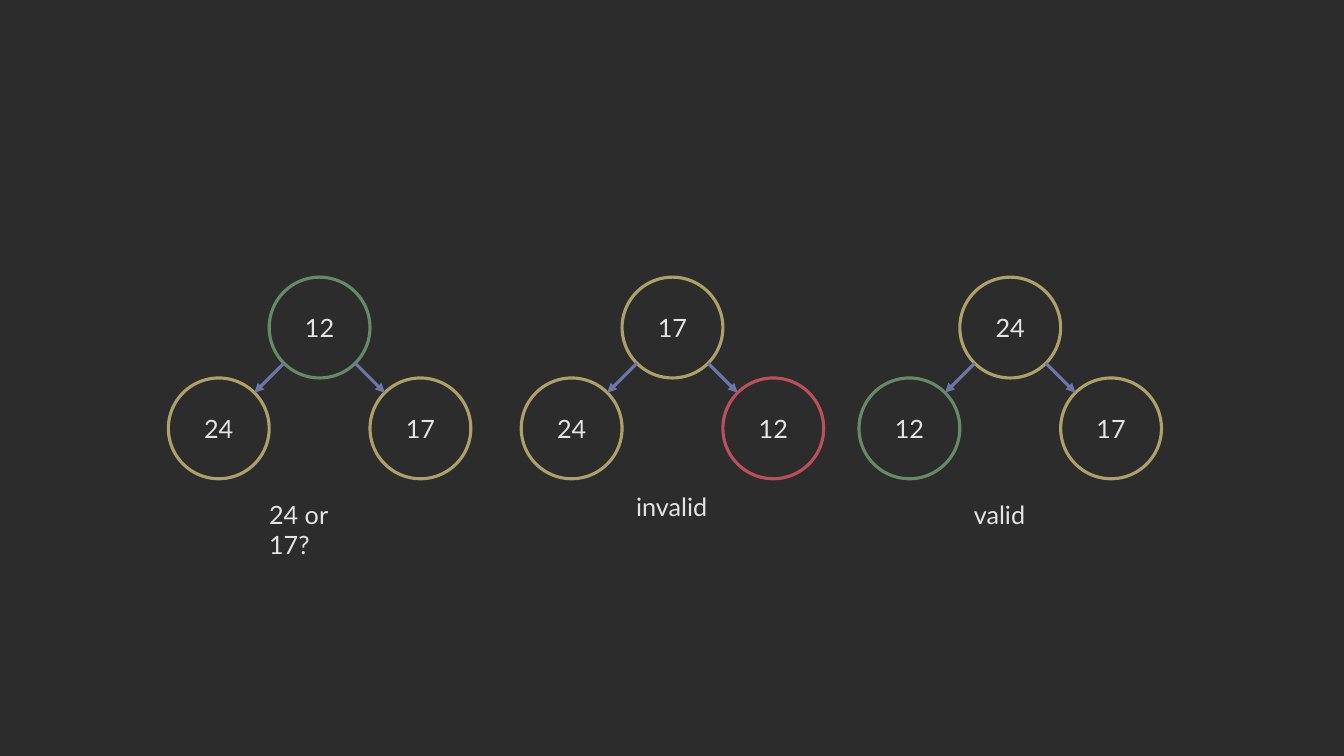
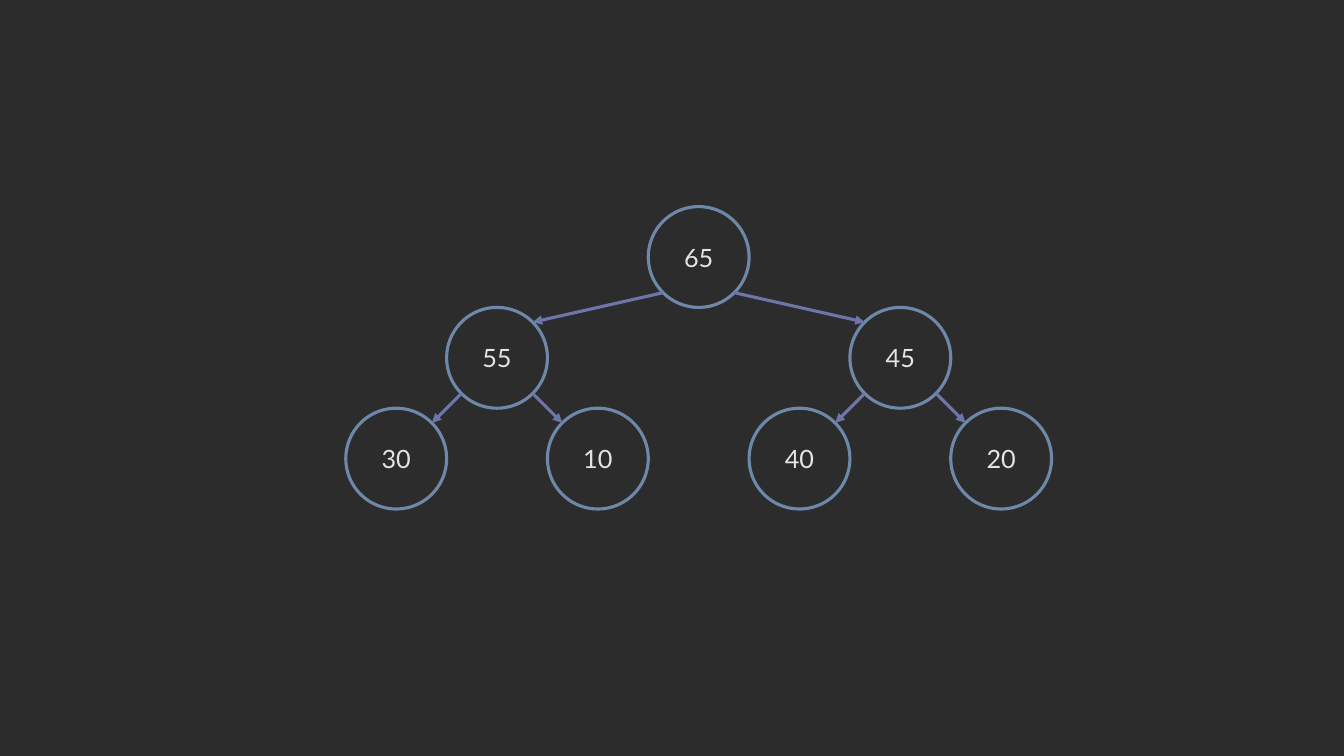
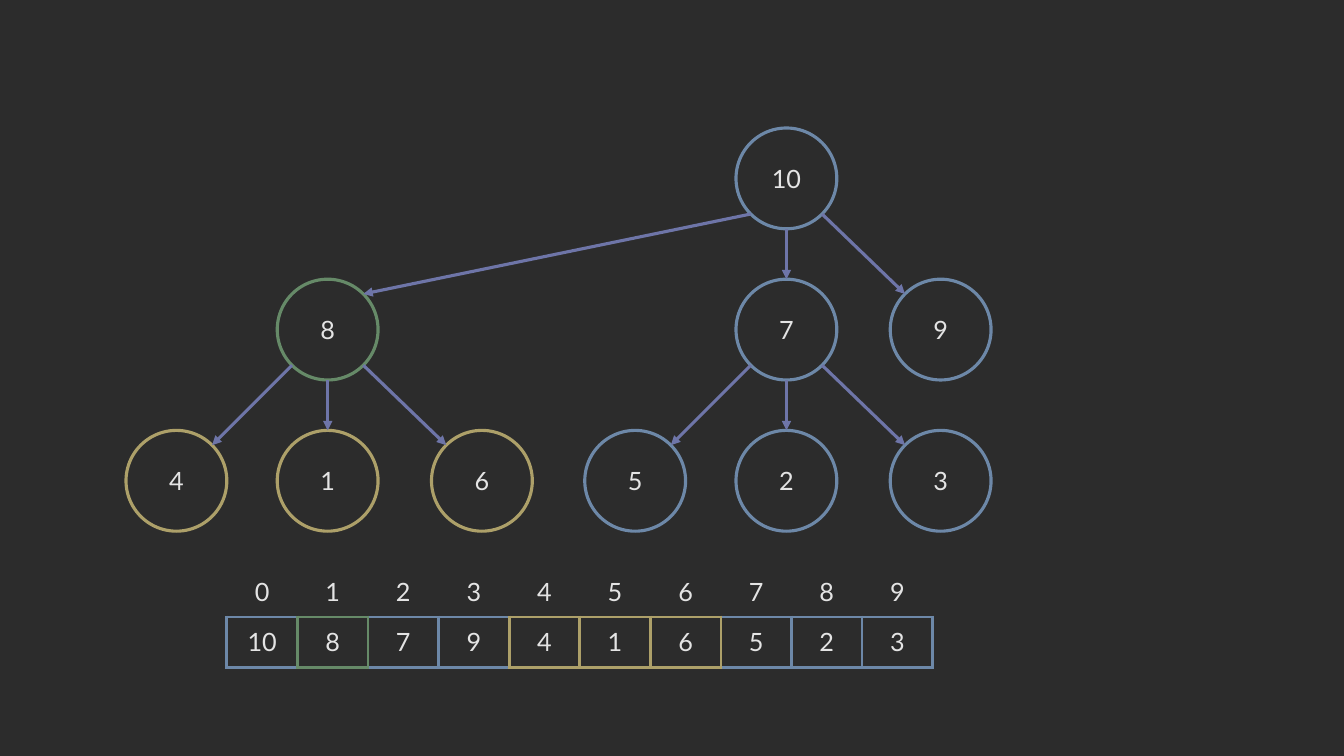
import dataclasses
import math
from typing import Optional

import lxml.etree
import pptx
import pptx.dml.color
import pptx.enum.shapes
import pptx.enum.text
import pptx.oxml.ns
import pptx.util

Inches = pptx.util.Inches
qn = pptx.oxml.ns.qn
ALIGN = pptx.enum.text.PP_ALIGN
ANCHOR = pptx.enum.text.MSO_ANCHOR

BACKGROUND = "2C2C2C"
TEXT = "E4E4E4"
ARROW = "6E75A8"
BLUE = "6D88A8"
GREEN = "668A68"
GOLD = "ADA069"
RED = "BB4F5C"

FONT = {"name": "Lato", "size": pptx.util.Pt(18)}
LINE_WIDTH = pptx.util.Pt(2.25)
DIAMETER = 1.0
RADIUS = DIAMETER / 2
DIAGONAL = RADIUS * math.sqrt(0.5)
NO_GRID_STYLE = "{2D5ABB26-0587-4C30-8999-92F81FD0307C}"


@dataclasses.dataclass(frozen=True)
class Node:
    text: str
    left: float
    top: float
    color: str = BLUE
    parent: Optional[int] = None


@dataclasses.dataclass(frozen=True)
class Caption:
    text: str
    left: float
    top: float
    width: float
    wrap: bool = False


@dataclasses.dataclass(frozen=True)
class Trio:
    left: float
    keys: tuple[str, str, str]
    colors: tuple[str, str, str]
    caption: Caption


def rgb(color: str) -> pptx.dml.color.RGBColor:
    return pptx.dml.color.RGBColor.from_string(color)


def write(tf, text: str, align=ALIGN.LEFT) -> None:
    p = tf.paragraphs[0]
    p.alignment = align
    r = p.add_run()
    r.text = text
    for name, value in FONT.items():
        setattr(r.font, name, value)
    r.font.color.rgb = rgb(TEXT)


def style_line(line, color: str) -> None:
    line.color.rgb = rgb(color)
    line.width = LINE_WIDTH


def add_node(s, node: Node) -> None:
    sp = s.shapes.add_shape(
        pptx.enum.shapes.MSO_SHAPE.OVAL,
        Inches(node.left), Inches(node.top), Inches(DIAMETER), Inches(DIAMETER),
    )
    sp.shadow.inherit = False
    sp.fill.background()
    style_line(sp.line, node.color)
    tf = sp.text_frame
    frame = {
        "margin_left": 0, "margin_top": 0, "margin_right": 0, "margin_bottom": 0,
        "vertical_anchor": ANCHOR.MIDDLE,
    }
    for name, value in frame.items():
        setattr(tf, name, value)
    write(tf, node.text, ALIGN.CENTER)


def add_arrow(s, parent: Node, child: Node) -> None:
    side = (child.left > parent.left) - (child.left < parent.left)
    dx = side * DIAGONAL
    dy = DIAGONAL if side else RADIUS
    cxn = s.shapes.add_connector(
        pptx.enum.shapes.MSO_CONNECTOR.STRAIGHT,
        Inches(parent.left + RADIUS + dx), Inches(parent.top + RADIUS + dy),
        Inches(child.left + RADIUS - dx), Inches(child.top + RADIUS - dy),
    )
    style_line(cxn.line, ARROW)
    sp_pr = cxn._element.spPr
    lxml.etree.SubElement(sp_pr.find(qn("a:ln")), qn("a:tailEnd"), type="triangle")
    lxml.etree.SubElement(sp_pr, qn("a:effectLst"))


def add_tree(s, nodes: list[Node]) -> None:
    for node in nodes:
        add_node(s, node)
        if node.parent is not None:
            add_arrow(s, nodes[node.parent], node)


def add_caption(s, caption: Caption) -> None:
    sp = s.shapes.add_textbox(
        Inches(caption.left), Inches(caption.top), Inches(caption.width), Inches(0.4)
    )
    sp.text_frame.word_wrap = caption.wrap
    write(sp.text_frame, caption.text)


def set_borders(cell, borders: dict[str, str]) -> None:
    tc_pr = cell._tc.get_or_add_tcPr()
    sides = [side for side in "LRTB" if side in borders]
    for position, side in enumerate(sides):
        ln = lxml.etree.Element(qn(f"a:ln{side}"), w=str(int(LINE_WIDTH)))
        fill = lxml.etree.SubElement(ln, qn("a:solidFill"))
        lxml.etree.SubElement(fill, qn("a:srgbClr"), val=borders[side])
        tc_pr.insert(position, ln)


def shared_edge(first: str, second: str) -> str:
    return second if first == BLUE else first


def add_array(s, nodes: list[Node]) -> None:
    count = len(nodes)
    frame = s.shapes.add_table(
        2, count, Inches(2.25), Inches(5.62), Inches(0.7 * count), Inches(1)
    )
    table = frame.table
    table.first_row = False
    table.horz_banding = False
    frame._element.find(".//" + qn("a:tableStyleId")).text = NO_GRID_STYLE
    for i, node in enumerate(nodes):
        before = nodes[max(i - 1, 0)].color
        after = nodes[min(i + 1, count - 1)].color
        color = node.color
        box = {
            "L": shared_edge(before, color), "R": shared_edge(color, after),
            "T": color, "B": color,
        }
        rows = ((str(i), {"B": color}), (node.text, box))
        for row, (text, borders) in enumerate(rows):
            cell = table.cell(row, i)
            cell.fill.background()
            cell.vertical_anchor = ANCHOR.MIDDLE
            write(cell.text_frame, text, ALIGN.CENTER)
            set_borders(cell, borders)


def build_trios(s) -> None:
    trios = (
        Trio(1.67, ("12", "24", "17"), (GREEN, GOLD, GOLD),
             Caption("24 or 17?", 2.57, 4.9, 1.19, True)),
        Trio(5.17, ("17", "24", "12"), (GOLD, GOLD, RED),
             Caption("invalid", 6.21, 4.83, 0.91)),
        Trio(8.52, ("24", "12", "17"), (GOLD, GREEN, GOLD),
             Caption("valid", 9.56, 4.9, 0.72)),
    )
    places = ((1, 2.75, None), (0, 3.75, 0), (2, 3.75, 0))
    for trio in trios:
        add_tree(s, [
            Node(key, trio.left + dx, top, color, parent)
            for key, color, (dx, top, parent) in zip(trio.keys, trio.colors, places)
        ])
        add_caption(s, trio.caption)


def build_binary_heap(s) -> None:
    columns = (3, 1, 5, 0, 2, 4, 6)
    keys = ("65", "55", "45", "30", "10", "40", "20")
    add_tree(s, [
        Node(key, 3.43 + column, 2.05 + int(math.log2(i + 1)),
             parent=(i - 1) // 2 if i else None)
        for i, (key, column) in enumerate(zip(keys, columns))
    ])


def build_ternary_heap(s) -> None:
    tops = (1.27, 2.77, 4.27)
    nodes = [
        Node("10", 7.3, tops[0]),
        Node("8", 2.75, tops[1], GREEN, 0),
        Node("7", 7.3, tops[1], BLUE, 0),
        Node("9", 8.83, tops[1], BLUE, 0),
    ]
    for parent, color, keys in ((1, GOLD, "416"), (2, BLUE, "523")):
        for key, dx in zip(keys, (-1.5, 0, 1.53)):
            nodes.append(Node(key, nodes[parent].left + dx, tops[2], color, parent))
    add_tree(s, nodes)
    add_array(s, nodes)


def main() -> None:
    prs = pptx.Presentation()
    prs.slide_width = Inches(13.33)
    prs.slide_height = Inches(7.5)
    fill = prs.slide_master.background.fill
    fill.solid()
    fill.fore_color.rgb = rgb(BACKGROUND)
    for build in (build_trios, build_binary_heap, build_ternary_heap):
        build(prs.slides.add_slide(prs.slide_layouts[6]))
    prs.save("out.pptx")


if __name__ == "__main__":
    main()
